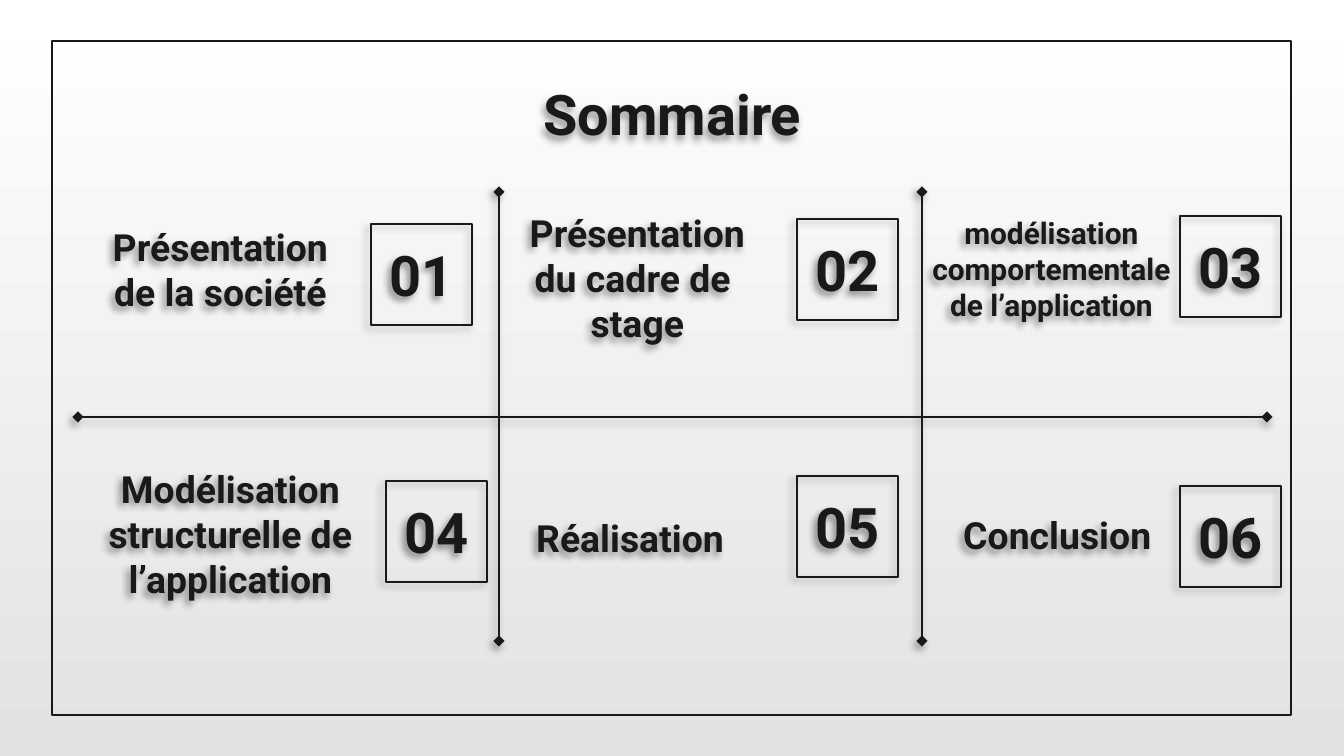
from lxml import etree
from pptx import Presentation, util as u
from pptx.dml.color import RGBColor
from pptx.enum import shapes, text
from pptx.oxml import ns

PX = 914400 / 134.4
FONT = "Roboto"
COLORS = {"ink": "191919", "top": "FFFFFF", "bottom": "E0E2E4", "shadow": "000000"}
LEFT, CENTER = text.PP_ALIGN.LEFT, text.PP_ALIGN.CENTER
TOP, MIDDLE, BOTTOM = (text.MSO_ANCHOR.TOP, text.MSO_ANCHOR.MIDDLE,
                       text.MSO_ANCHOR.BOTTOM)

# Content: places and lengths in px
PAGE_SIZE = (1344, 756)
FRAME = (52, 41, 1239, 674)
TITLE = ("Sommaire", (106, 66, 1133, 84))
SIDE = 101  # number squares and the height of each label
CHAPTERS = [  # label, left, top, width, format, corner of the number square
    ("Présentation\vde la société", 55, 226, 331, {}, (371, 224)),
    ("Présentation\vdu cadre de \nstage", 472, 257, 331, {}, (797, 219)),
    ("modélisation comportementale de l’application", 905, 235, 293,
     {"size": 16}, (1180, 216)),
    ("Modélisation structurelle de l’application", 65, 513, 331, {}, (386, 481)),
    ("Réalisation", 523, 472, 331, {"align": LEFT}, (797, 476)),
    ("Conclusion", 950, 469, 331, {"align": LEFT}, (1180, 486)),
]
DIVIDERS = [(78, 417, 1267, 417)] + [(x, 192, x, 641) for x in (499, 922)]


def emu(lengths):
    return [u.Emu(round(length * PX)) for length in lengths]


def color(name):
    return RGBColor.from_string(COLORS[name])


def set_line(line):
    line.color.rgb = color("ink")
    line.width = u.Pt(0.75)


def add_shadow(shape):
    properties = shape._element.spPr
    for old in properties.findall(ns.qn("a:effectLst")):
        properties.remove(old)
    effects = etree.SubElement(properties, ns.qn("a:effectLst"))
    outer = etree.SubElement(effects, ns.qn("a:outerShdw"), blurRad=str(u.Pt(4)),
                             dist=str(u.Pt(3)), dir=str(135 * 60000),
                             algn="bl", rotWithShape="0")
    tint = etree.SubElement(outer, ns.qn("a:srgbClr"), val=COLORS["shadow"])
    etree.SubElement(tint, ns.qn("a:alpha"), val="40000")


def add_square(place):
    box = page.shapes.add_shape(shapes.MSO_SHAPE.RECTANGLE, *emu(place))
    box.shadow.inherit = False
    box.fill.background()
    set_line(box.line)
    return box


def write(box, words, size=20, align=CENTER, anchor=BOTTOM):
    add_shadow(box)
    frame = box.text_frame
    frame.word_wrap = True
    frame.vertical_anchor = anchor
    frame.margin_left = frame.margin_right = u.Inches(0.1)
    frame.margin_top = frame.margin_bottom = u.Inches(0.1)
    frame.text = words
    for para in frame.paragraphs:
        para.alignment = align
        for span in para.runs:
            span.font.name = FONT
            span.font.size = u.Pt(size)
            span.font.bold = True
            span.font.color.rgb = color("ink")


deck = Presentation()
deck.slide_width, deck.slide_height = emu(PAGE_SIZE)
page = deck.slides.add_slide(deck.slide_layouts[6])

# Background, light at the top
fill = page.background.fill
fill.gradient()
fill.gradient_angle = 270
for stop, name in zip(fill.gradient_stops, ("top", "bottom")):
    stop.color.rgb = color(name)

# Frame and title
add_square(FRAME)
words, place = TITLE
write(page.shapes.add_textbox(*emu(place)), words, size=30, anchor=TOP)

# Dividers with diamond ends
for ends in DIVIDERS:
    divider = page.shapes.add_connector(shapes.MSO_CONNECTOR.STRAIGHT, *emu(ends))
    set_line(divider.line)
    stroke = divider.line._get_or_add_ln()
    for end in ("a:headEnd", "a:tailEnd"):
        etree.SubElement(stroke, ns.qn(end), type="diamond")
    add_shadow(divider)

# Chapters: label and numbered square
for number, (label, left, top, width, style, corner) in enumerate(CHAPTERS, 1):
    write(page.shapes.add_textbox(*emu((left, top, width, SIDE))), label, **style)
    write(add_square((*corner, SIDE, SIDE)), f"{number:02}", size=30, anchor=MIDDLE)

deck.save("out.pptx")
